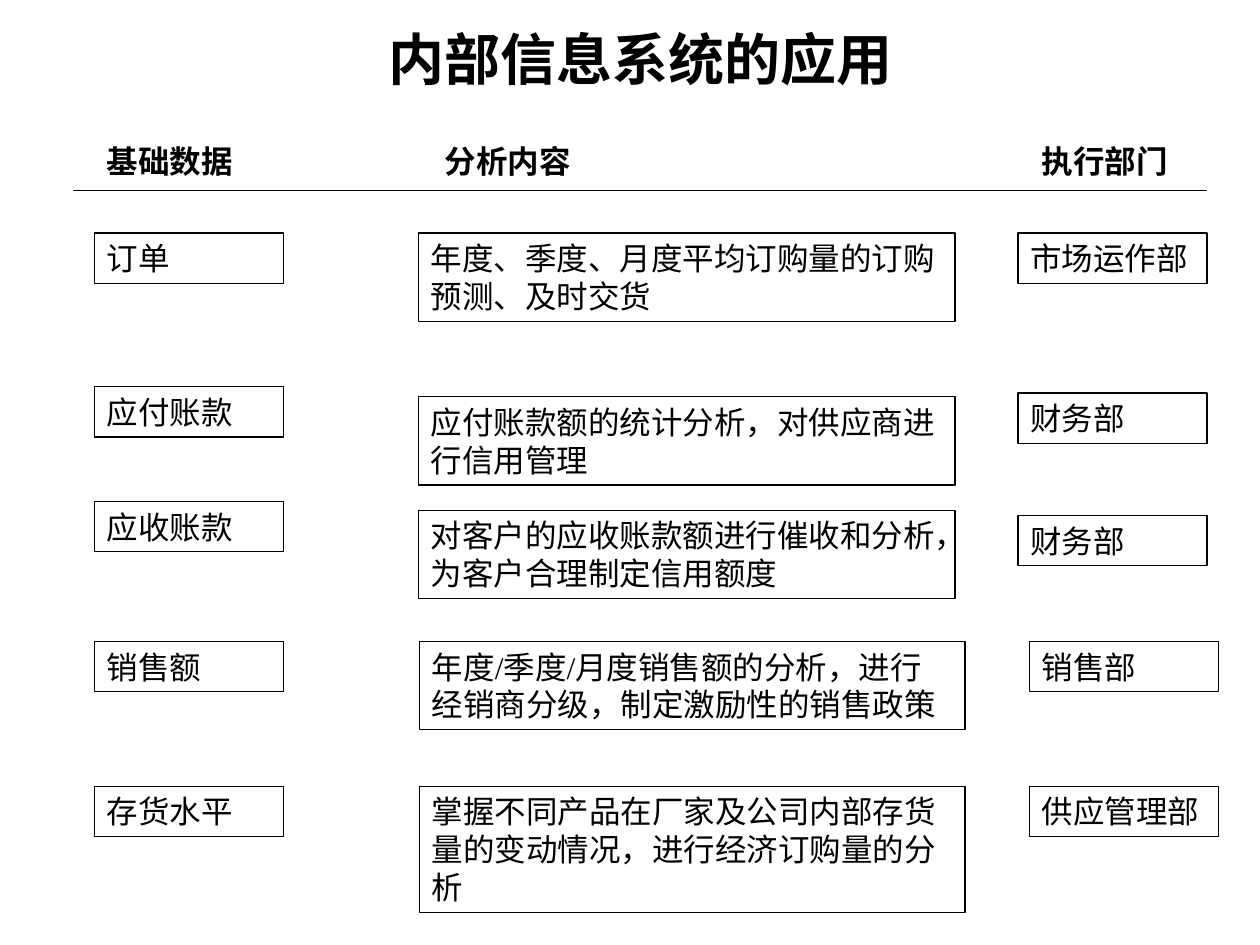
from lxml.etree import SubElement
from pptx import Presentation
from pptx.dml.color import RGBColor as Rgb
from pptx.enum.shapes import MSO_CONNECTOR as Connector, MSO_SHAPE as Preset
from pptx.enum.text import MSO_ANCHOR as Anchor, MSO_AUTO_SIZE as Fit, PP_ALIGN as Align
from pptx.oxml.ns import qn
from pptx.util import Inches, Pt

COLORS = {"ink": "000000"}
FONT = "Times New Roman"
LINE_HEIGHT, PADDING = 0.3, 0.1
HEADING_TOP, RULE_TOP = 1.08, 1.51

# (left, width) of the data, analysis and department columns
UPPER_COLUMNS = ((0.75, 1.5), (3.32, 4.26), (8.08, 1.5))
LOWER_COLUMNS = ((0.75, 1.5), (3.33, 4.33), (8.17, 1.5))
HEADING_COLUMNS = ((0.75, 1.5), (3.43, 1.5), (8.17, 1.5))

HEADINGS = ("基础数据", "分析内容", "执行部门")
# columns, top of each cell, text of each cell, lines of analysis
ROWS = (
    (UPPER_COLUMNS, (1.85, 1.85, 1.85),
     ("订单", "年度、季度、月度平均订购量的订购预测、及时交货", "市场运作部"), 2),
    (UPPER_COLUMNS, (3.07, 3.15, 3.12),
     ("应付账款", "应付账款额的统计分析，对供应商进行信用管理", "财务部"), 2),
    (UPPER_COLUMNS, (3.98, 4.05, 4.09),
     ("应收账款", "对客户的应收账款额进行催收和分析，为客户合理制定信用额度", "财务部"), 2),
    (LOWER_COLUMNS, (5.09, 5.09, 5.09),
     ("销售额", "年度/季度/月度销售额的分析，进行经销商分级，制定激励性的销售政策", "销售部"), 2),
    (LOWER_COLUMNS, (6.24, 6.24, 6.24),
     ("存货水平", "掌握不同产品在厂家及公司内部存货量的变动情况，进行经济订购量的分析", "供应管理部"), 3),
)


def write_text(frame, text, size=18, bold=False, align=Align.LEFT,
               anchor=Anchor.TOP, fit=Fit.SHAPE_TO_FIT_TEXT):
    """Fill a text frame with one formatted paragraph."""
    frame.word_wrap = True
    frame.auto_size = fit
    frame.vertical_anchor = anchor
    paragraph = frame.paragraphs[0]
    paragraph.alignment = align
    run = paragraph.add_run()
    run.text = text
    run.font.name = FONT
    run.font.size = Pt(size)
    run.font.bold = bold
    run.font.color.rgb = Rgb.from_string(COLORS["ink"])


def set_ink(line):
    """Give an outline or rule its colour and width."""
    line.color.rgb = Rgb.from_string(COLORS["ink"])
    line.width = Pt(0.75)


def cell_area(column, top, lines=1):
    """Return the left, top, width and height of a cell."""
    left, width = column
    return [Inches(n) for n in (left, top, width, lines * LINE_HEIGHT + PADDING)]


def add_title(slide, text):
    """Place and fill the title placeholder."""
    title = slide.shapes.title
    title.left, title.top = Inches(2.25), Inches(0.17)
    title.width, title.height = Inches(5.67), Inches(0.58)
    write_text(title.text_frame, text, size=32, bold=True, align=Align.CENTER,
               anchor=Anchor.MIDDLE, fit=Fit.NONE)


def add_heading(slide, column, text):
    """Add a bold column heading."""
    heading = slide.shapes.add_textbox(*cell_area(column, HEADING_TOP))
    write_text(heading.text_frame, text, bold=True)


def add_cell(slide, column, top, text, lines):
    """Add an outlined cell."""
    cell = slide.shapes.add_shape(Preset.RECTANGLE, *cell_area(column, top, lines))
    cell.shadow.inherit = False
    cell.fill.background()
    set_ink(cell.line)
    write_text(cell.text_frame, text)


def add_rule(slide):
    """Add the rule below the headings."""
    rule = slide.shapes.add_connector(Connector.STRAIGHT, Inches(0.58), Inches(RULE_TOP),
                                      Inches(9.58), Inches(RULE_TOP))
    set_ink(rule.line)
    SubElement(rule._element.spPr, qn("a:effectLst"))


def main():
    """Build and save the slide."""
    deck = Presentation()
    deck.slide_width, deck.slide_height = Inches(10), Inches(7.5)
    slide = deck.slides.add_slide(deck.slide_layouts[5])
    add_title(slide, "内部信息系统的应用")
    for column, text in zip(HEADING_COLUMNS, HEADINGS):
        add_heading(slide, column, text)
    add_rule(slide)
    for columns, tops, texts, analysis_lines in ROWS:
        for cell in zip(columns, tops, texts, (1, analysis_lines, 1)):
            add_cell(slide, *cell)
    deck.save("out.pptx")


if __name__ == "__main__":
    main()
